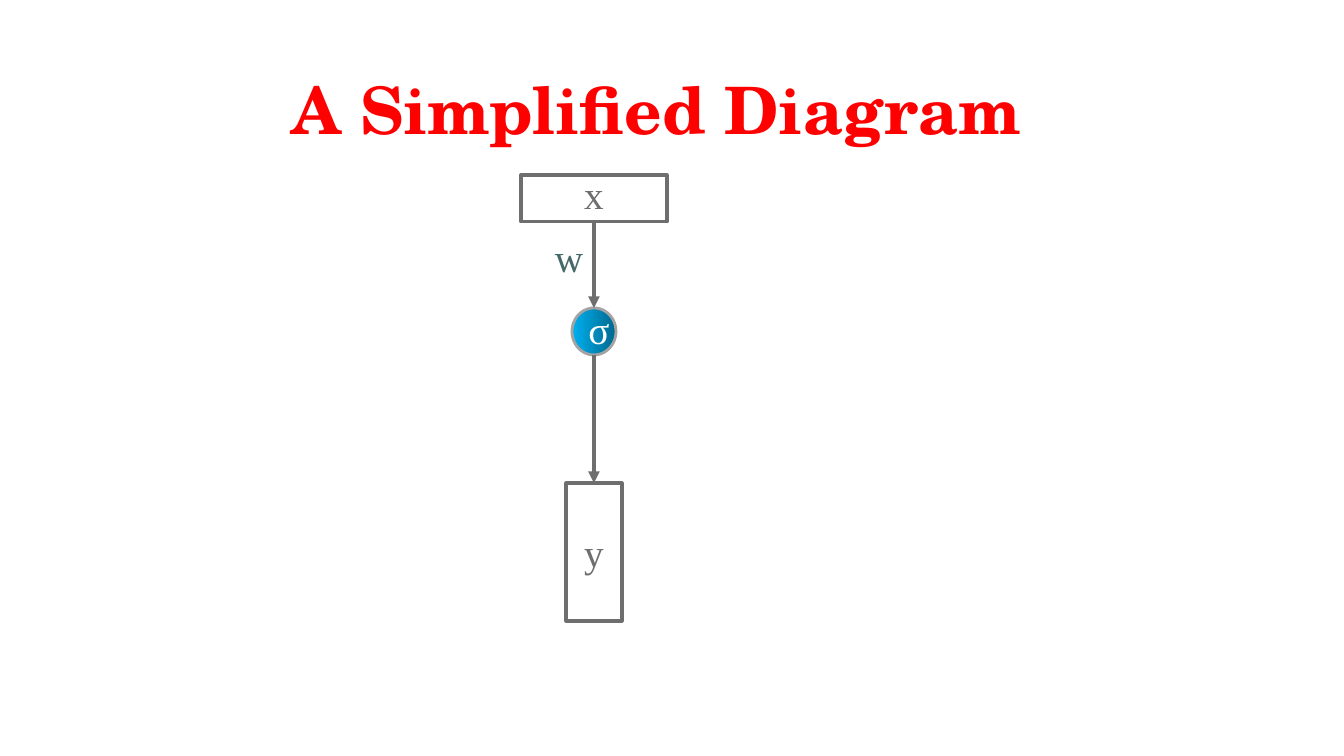
from dataclasses import dataclass

from lxml import etree
from pptx import Presentation
from pptx.dml.color import RGBColor
from pptx.enum.shapes import MSO_CONNECTOR, MSO_SHAPE
from pptx.enum.text import MSO_ANCHOR, PP_ALIGN
from pptx.oxml.ns import qn
from pptx.util import Emu, Pt

PX = 914400 / 100.8
RECT, OVAL = MSO_SHAPE.RECTANGLE, MSO_SHAPE.OVAL
STRAIGHT = MSO_CONNECTOR.STRAIGHT
TOP, MIDDLE, BOTTOM = MSO_ANCHOR.TOP, MSO_ANCHOR.MIDDLE, MSO_ANCHOR.BOTTOM
CENTER = PP_ALIGN.CENTER
SITE_TOP, SITE_BOTTOM = 0, 2


@dataclass(frozen=True)
class Theme:
    white: str = "FFFFFF"
    red: str = "FF0000"
    gray: str = "6E6E6E"
    rim: str = "A3A3A3"
    teal: str = "456968"
    gradient: tuple = ("00688E", "00B0F0")
    title_font: str = "TeX Gyre Schola"
    label_font: str = "Times New Roman"
    title_size: float = 46.7
    label_size: float = 28
    box_line: float = 2.25
    arrow_line: float = 2.75
    rim_line: float = 2


def px(n):
    return Emu(round(n * PX))


def rgb(color):
    return RGBColor.from_string(color)


class Diagram:
    def __init__(self, slide, theme):
        self.s, self.t = slide, theme

    def set_text(self, sp, text, color, anchor=MIDDLE, margins=(10, 5, 10, 5), **font):
        tf = sp.text_frame
        left, top, right, bottom = map(px, margins)
        frame = {"word_wrap": True, "vertical_anchor": anchor,
                 "margin_left": left, "margin_top": top,
                 "margin_right": right, "margin_bottom": bottom}
        for name, value in frame.items():
            setattr(tf, name, value)
        p = tf.paragraphs[0]
        p.alignment = CENTER
        r = p.add_run()
        r.text = text
        style = {"name": self.t.label_font, "size": Pt(self.t.label_size), **font}
        for name, value in style.items():
            setattr(r.font, name, value)
        r.font.color.rgb = rgb(color)

    def title(self, text, *box):
        sp = self.s.shapes.title
        sp.left, sp.top, sp.width, sp.height = map(px, box)
        self.set_text(sp, text, self.t.red, name=self.t.title_font,
                      size=Pt(self.t.title_size), bold=True)

    def label(self, text, *box):
        sp = self.s.shapes.add_textbox(*map(px, box))
        self.set_text(sp, text, self.t.teal, TOP, (10, 10, 10, 5))

    def shape(self, kind, box, line, width):
        sp = self.s.shapes.add_shape(kind, *map(px, box))
        sp.shadow.inherit = False
        sp.line.color.rgb = rgb(line)
        sp.line.width = Pt(width)
        return sp

    def box(self, text, *box, anchor=MIDDLE):
        sp = self.shape(RECT, box, self.t.gray, self.t.box_line)
        sp.fill.solid()
        sp.fill.fore_color.rgb = rgb(self.t.white)
        self.set_text(sp, text, self.t.gray, anchor)
        return sp

    def node(self, text, *box):
        sp = self.shape(OVAL, box, self.t.rim, self.t.rim_line)
        sp.fill.gradient()
        sp.fill.gradient_angle = 180
        for stop, color in zip(sp.fill.gradient_stops, self.t.gradient):
            stop.color.rgb = rgb(color)
        self.set_text(sp, text, self.t.white, margins=(10, 5, 10, 10))
        return sp

    def arrow(self, start, end):
        """Point straight down from the bottom of one shape to the top of another."""
        x = start.left + start.width // 2
        c = self.s.shapes.add_connector(
            STRAIGHT, x, start.top + start.height, x, end.top)
        if start.auto_shape_type == RECT:
            c.begin_connect(start, SITE_BOTTOM)
        c.end_connect(end, SITE_TOP)
        c.line.color.rgb = rgb(self.t.gray)
        c.line.width = Pt(self.t.arrow_line)
        sp_pr = c._element.spPr
        etree.SubElement(sp_pr.find(qn("a:ln")), qn("a:tailEnd"), type="triangle")
        etree.SubElement(sp_pr, qn("a:effectLst"))


def main():
    prs = Presentation()
    prs.slide_width, prs.slide_height = px(1344), px(756)
    d = Diagram(prs.slides.add_slide(prs.slide_layouts[5]), Theme())
    d.title("A Simplified Diagram", 37, 57, 1240, 103)
    d.label("w", 532, 223, 74, 89)
    source = d.box("x", 521, 175, 146, 47, anchor=BOTTOM)
    sigma = d.node("σ", 572, 308, 44, 47)
    output = d.box("y", 566, 483, 56, 138)
    d.arrow(source, sigma)
    d.arrow(sigma, output)
    prs.save("out.pptx")


if __name__ == "__main__":
    main()
